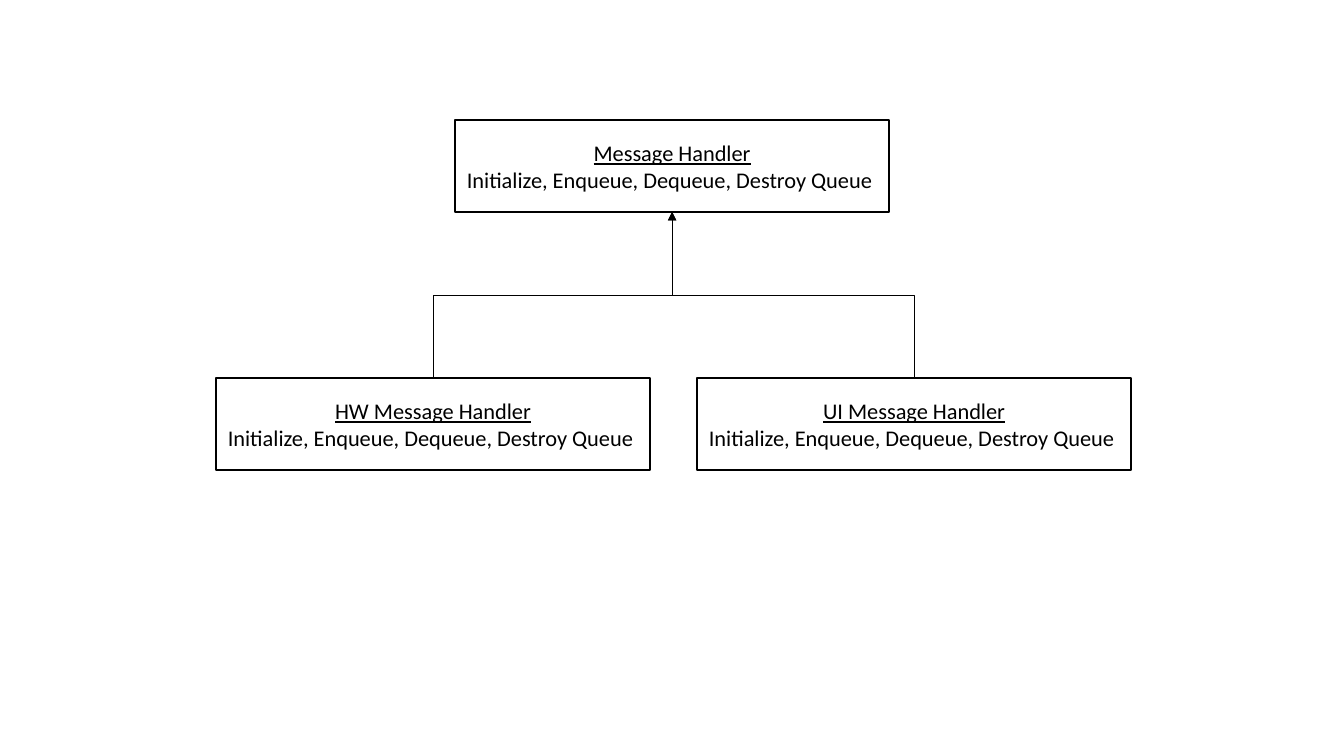
import pptx
import pptx.util
import pptx.dml.color
import pptx.enum.shapes
import pptx.enum.text
import pptx.oxml
import pptx.oxml.ns

SCALE = 914400 / 100.8


def px(n):
    return pptx.util.Emu(round(n * SCALE))


def color(code):
    return pptx.dml.color.RGBColor.from_string(code)


class Chart:
    """Style and current slide of the class diagram."""
    font, size = "Calibri", 16
    ink, paper = "000000", "FFFFFF"
    wide, high = 434, 92

    def __init__(self, slide):
        self.slide = slide

    def box(self, left, top, name, tasks):
        shape = self.slide.shapes.add_shape(
            pptx.enum.shapes.MSO_SHAPE.RECTANGLE,
            px(left), px(top), px(self.wide), px(self.high))
        shape.shadow.inherit = False
        shape.fill.solid()
        shape.fill.fore_color.rgb = color(self.paper)
        shape.line.color.rgb = color(self.ink)
        shape.line.width = pptx.util.Pt(1)
        frame = shape.text_frame
        frame.word_wrap = True
        frame.vertical_anchor = pptx.enum.text.MSO_ANCHOR.MIDDLE
        frame.text = name + "\n" + tasks
        for row, para in enumerate(frame.paragraphs):
            para.alignment = pptx.enum.text.PP_ALIGN.CENTER
            face = para.runs[0].font
            face.name, face.size = self.font, pptx.util.Pt(self.size)
            face.color.rgb = color(self.ink)
            face.underline = row == 0
        return shape

    def link(self, child, base):
        """Elbow arrow from the top of child to the foot of base."""
        line = self.slide.shapes.add_connector(
            pptx.enum.shapes.MSO_CONNECTOR.ELBOW, 0, 0, 0, 0)
        line.begin_connect(child, 0)
        line.end_connect(base, 2)
        # Turn the elbow so that it leaves and arrives upright
        right = line.begin_x > line.end_x
        span, rise = line.width, line.height
        mid_x, mid_y = line.left + span // 2, line.top + rise // 2
        line.left, line.top = mid_x - rise // 2, mid_y - span // 2
        line.width, line.height = rise, span
        props = line._element.spPr
        props.xfrm.flipH, props.xfrm.flipV = False, right
        props.xfrm.set("rot", str(270 * 60000))
        # Stroke and arrowhead
        line.line.color.rgb = color(self.ink)
        line.line.width = pptx.util.Pt(0.5)
        space = pptx.oxml.ns.nsdecls("a")
        props.ln.append(pptx.oxml.parse_xml(
            f'<a:tailEnd {space} type="triangle"/>'))
        props.append(pptx.oxml.parse_xml(f"<a:effectLst {space}/>"))


deck = pptx.Presentation()
deck.slide_width = pptx.util.Inches(13.33)
deck.slide_height = pptx.util.Inches(7.5)
chart = Chart(deck.slides.add_slide(deck.slide_layouts[6]))

# Base class above its two subclasses
tasks = "Initialize, Enqueue, Dequeue, Destroy Queue "
base = chart.box(455, 120, "Message Handler", tasks)
kids = [chart.box(left, 378, kind + " Message Handler", tasks)
        for kind, left in (("UI", 697), ("HW", 216))]

# Inheritance arrows
for kid in kids:
    chart.link(kid, base)

deck.save("out.pptx")
